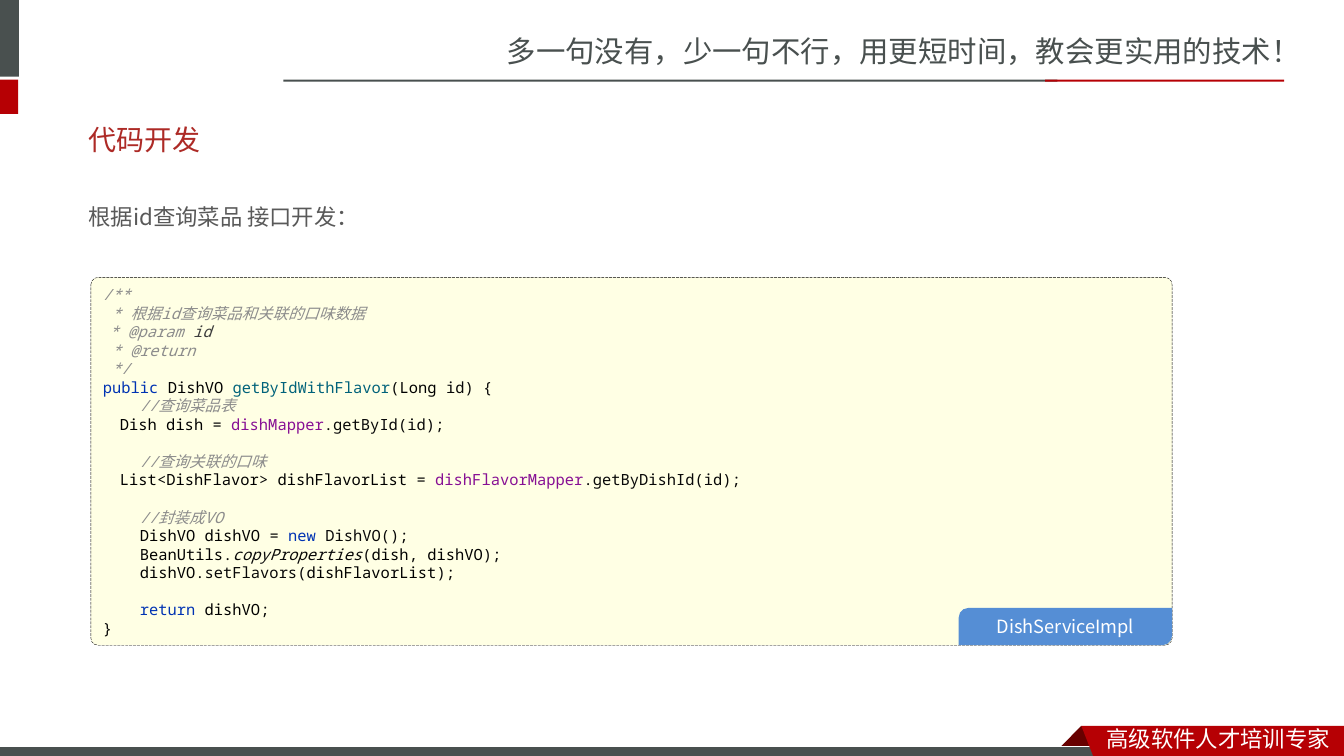
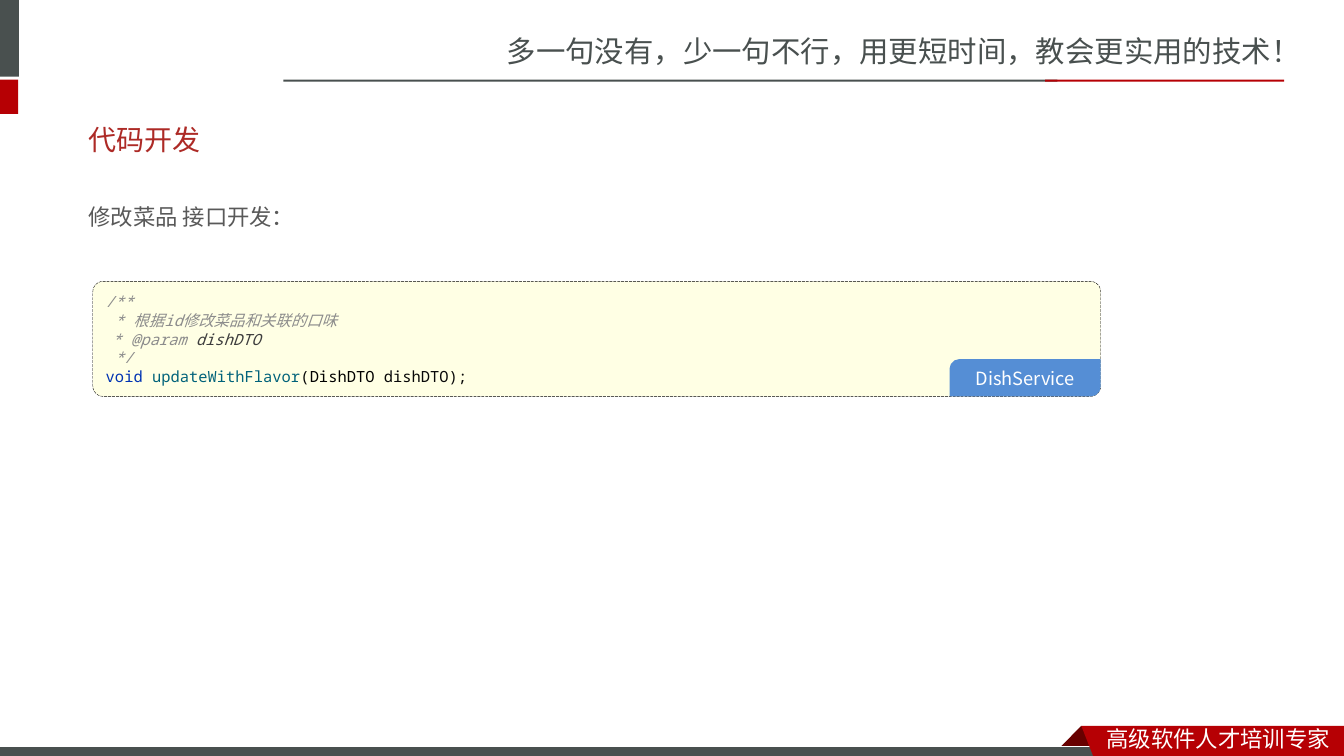
"""Build two code walkthrough slides with a shared header and footer."""
from lxml import etree
from pptx import Presentation, util as u
from pptx.dml.color import RGBColor
from pptx.enum import dml, shapes, text
from pptx.oxml import ns

HUES = {
    "slate": "49504F", "red": "B60004", "maroon": "680000", "white": "FFFFFF",
    "title": "AD2A26", "body": "595959", "cream": "FFFFE4", "blue": "558ED5",
    "black": "000000", "ink": "080808", "note": "8C8C8C", "param": "3D3D3D",
    "key": "0033B3", "func": "00627A", "field": "871094",
}
SC, JP, MONO = "Noto Sans CJK SC", "Noto Sans CJK JP", "Noto Sans Mono"
STYLES = {
    "note": (MONO, "note", True), "han": (SC, "note", True),
    "param": (MONO, "param", True), "call": (MONO, "ink", True),
    "key": (MONO, "key", False), "func": (MONO, "func", False),
    "name": (MONO, "black", False), "ink": (MONO, "ink", False),
    "field": (MONO, "field", False),
}
PITCH = u.Pt(13.25)
STAR, THIN, HALF, TAB = 0.23, 0.17, 0.43, 0.93

BARS = [
    (0, 0, 0.48, 1.93, "slate", None),
    (0, 2.01, 0.46, 0.86, "red", None),
    (7.14, 2.01, 19.51, 0.05, "slate", None),
    (26.34, 2.01, 6.02, 0.05, "red", None),
    (-0.03, 18.82, 27.94, 0.3, "slate", ("white", 0.75)),
]
FOLD = [(27.25, 18.29), (27.81, 18.85), (27.79, 18.87), (26.72, 18.87), (26.7, 18.85)]
BAND = [(27.25, 18.29), (33.87, 18.29), (33.87, 19.15), (27.58, 19.13)]
TOP, MID = text.MSO_ANCHOR.TOP, text.MSO_ANCHOR.MIDDLE
LABELS = [
    (12.52, 0.71, 21.4, 1.19, TOP, 1, SC, "slate", 21,
     "多一句没有，少一句不行，用更短时间，教会更实用的技术！"),
    (27.64, 18.16, 6.22, 0.94, TOP, 1, SC, "white", 16, "高级软件人才培训专家"),
    (1.98, 2.79, 29.72, 1.45, MID, 1, "Calibri", "title", 20, "代码开发"),
]

PAGES = [
    {
        "lead": "根据id查询菜品 接口开发：",
        "box": (2.29, 6.99, 27.25, 9.27), "round": 0.02,
        "tag": "DishServiceImpl", "wide": 5.38,
        "code": [
            (0, 0, [("note", "/**")]),
            (STAR, 0, [("note", "* "), ("han", "根据"), ("note", "id"),
                       ("han", "查询菜品和关联的口味数据")]),
            (THIN, 0, [("note", "* @param "), ("param", "id")]),
            (STAR, 0, [("note", "* @return")]),
            (STAR, 0, [("note", "*/")]),
            (0, 0, [("key", "public "), ("name", "DishVO "),
                    ("func", "getByIdWithFlavor"), ("ink", "("),
                    ("name", "Long "), ("ink", "id) {")]),
            (TAB, 0, [("note", "//"), ("han", "查询菜品表")]),
            (HALF, 0, [("name", "Dish dish "), ("ink", "= "),
                       ("field", "dishMapper"), ("ink", ".getById(id);")]),
            (TAB, 1, [("note", "//"), ("han", "查询关联的口味")]),
            (HALF, 0, [("name", "List"), ("ink", "<"), ("name", "DishFlavor"),
                       ("ink", "> "), ("name", "dishFlavorList "), ("ink", "= "),
                       ("field", "dishFlavorMapper"), ("ink", ".getByDishId(id);")]),
            (TAB, 1, [("note", "//"), ("han", "封装成"), ("note", "VO")]),
            (TAB, 0, [("name", "DishVO dishVO "), ("ink", "= "),
                      ("key", "new "), ("ink", "DishVO();")]),
            (TAB, 0, [("name", "BeanUtils"), ("ink", "."), ("call", "copyProperties"),
                      ("ink", "("), ("name", "dish"), ("ink", ", "),
                      ("name", "dishVO"), ("ink", ");")]),
            (TAB, 0, [("name", "dishVO"), ("ink", ".setFlavors("),
                      ("name", "dishFlavorList"), ("ink", ");")]),
            (TAB, 1, [("key", "return "), ("name", "dishVO"), ("ink", ";")]),
            (0, 0, [("ink", "}")]),
        ],
    },
    {
        "lead": "修改菜品 接口开发：",
        "box": (2.34, 7.09, 25.4, 2.9), "round": 0.09,
        "tag": "DishService", "wide": 3.81,
        "code": [
            (0, 0, [("note", "/**")]),
            (STAR, 0, [("note", "* "), ("han", "根据"), ("note", "id"),
                       ("han", "修改菜品和关联的口味")]),
            (THIN, 0, [("note", "* @param "), ("param", "dishDTO")]),
            (STAR, 0, [("note", "*/")]),
            (0, 0, [("key", "void "), ("func", "updateWithFlavor"), ("ink", "("),
                    ("name", "DishDTO "), ("ink", "dishDTO);")]),
        ],
    },
]


def paint(shape, hue, line=None):
    shape.shadow.inherit = False
    shape.fill.solid()
    shape.fill.fore_color.rgb = RGBColor.from_string(HUES[hue])
    if line:
        shape.line.color.rgb = RGBColor.from_string(HUES[line[0]])
        shape.line.width = u.Pt(line[1])
    else:
        shape.line.fill.background()


def write(para, words, face, hue, size, slant=False):
    run = para.add_run()
    run.text = words
    form = {"name": face, "size": u.Pt(size), "italic": slant}
    for key, value in form.items():
        setattr(run.font, key, value)
    run.font.color.rgb = RGBColor.from_string(HUES[hue])
    etree.SubElement(run._r.get_or_add_rPr(), ns.qn("a:ea"), typeface=face)


deck = Presentation()
deck.slide_width, deck.slide_height = u.Cm(33.87), u.Cm(19.05)

for page in PAGES:
    slide = deck.slides.add_slide(deck.slide_layouts[6])
    art = slide.shapes

    for points, hue in ((FOLD, "maroon"), (BAND, "red")):
        spots = [(u.Cm(x), u.Cm(y)) for x, y in points]
        pen = art.build_freeform(*spots[0], scale=1.0)
        pen.add_line_segments(spots[1:], close=True)
        paint(pen.convert_to_shape(), hue)
        if points is FOLD:
            for *place, tone, line in BARS:
                bar = art.add_shape(shapes.MSO_SHAPE.RECTANGLE, *map(u.Cm, place))
                paint(bar, tone, line)

    lead = (1.98, 4.65, 30.66, 1.17, TOP, 1.5, JP, "body", 16, page["lead"])
    for *place, anchor, space, face, hue, size, words in LABELS + [lead]:
        frame = art.add_textbox(*map(u.Cm, place)).text_frame
        frame.word_wrap = True
        frame.vertical_anchor = anchor
        frame.paragraphs[0].line_spacing = space
        write(frame.paragraphs[0], words, face, hue, size)

    left, top, width, height = page["box"]
    panel = art.add_shape(shapes.MSO_SHAPE.ROUNDED_RECTANGLE, *map(u.Cm, page["box"]))
    panel.adjustments[0] = page["round"]
    paint(panel, "cream", ("black", 0.25))
    panel.line.dash_style = dml.MSO_LINE.LONG_DASH
    frame = panel.text_frame
    frame.word_wrap = True
    frame.vertical_anchor = MID
    for row, (indent, gap, runs) in enumerate(page["code"]):
        para = frame.add_paragraph() if row else frame.paragraphs[0]
        form = {"alignment": text.PP_ALIGN.LEFT, "line_spacing": PITCH,
                "space_before": u.Emu(gap * PITCH)}
        for key, value in form.items():
            setattr(para, key, value)
        para._p.get_or_add_pPr().set("marL", str(int(u.Cm(indent))))
        for style, words in runs:
            face, hue, slant = STYLES[style]
            write(para, words, face, hue, 11, slant)

    wide, tall = page["wide"], 0.94
    place = (left + width - wide, top + height - tall, wide, tall)
    tag = art.add_shape(shapes.MSO_SHAPE.ROUND_2_DIAG_RECTANGLE, *map(u.Cm, place))
    tag.adjustments[0], tag.adjustments[1] = 0.26, 0
    paint(tag, "blue")
    frame = tag.text_frame
    form = {"margin_left": 0, "margin_top": 0, "margin_right": 0,
            "margin_bottom": 0, "vertical_anchor": MID, "word_wrap": True}
    for key, value in form.items():
        setattr(frame, key, value)
    frame.paragraphs[0].alignment = text.PP_ALIGN.CENTER
    write(frame.paragraphs[0], page["tag"], JP, "white", 13)

deck.save("out.pptx")
